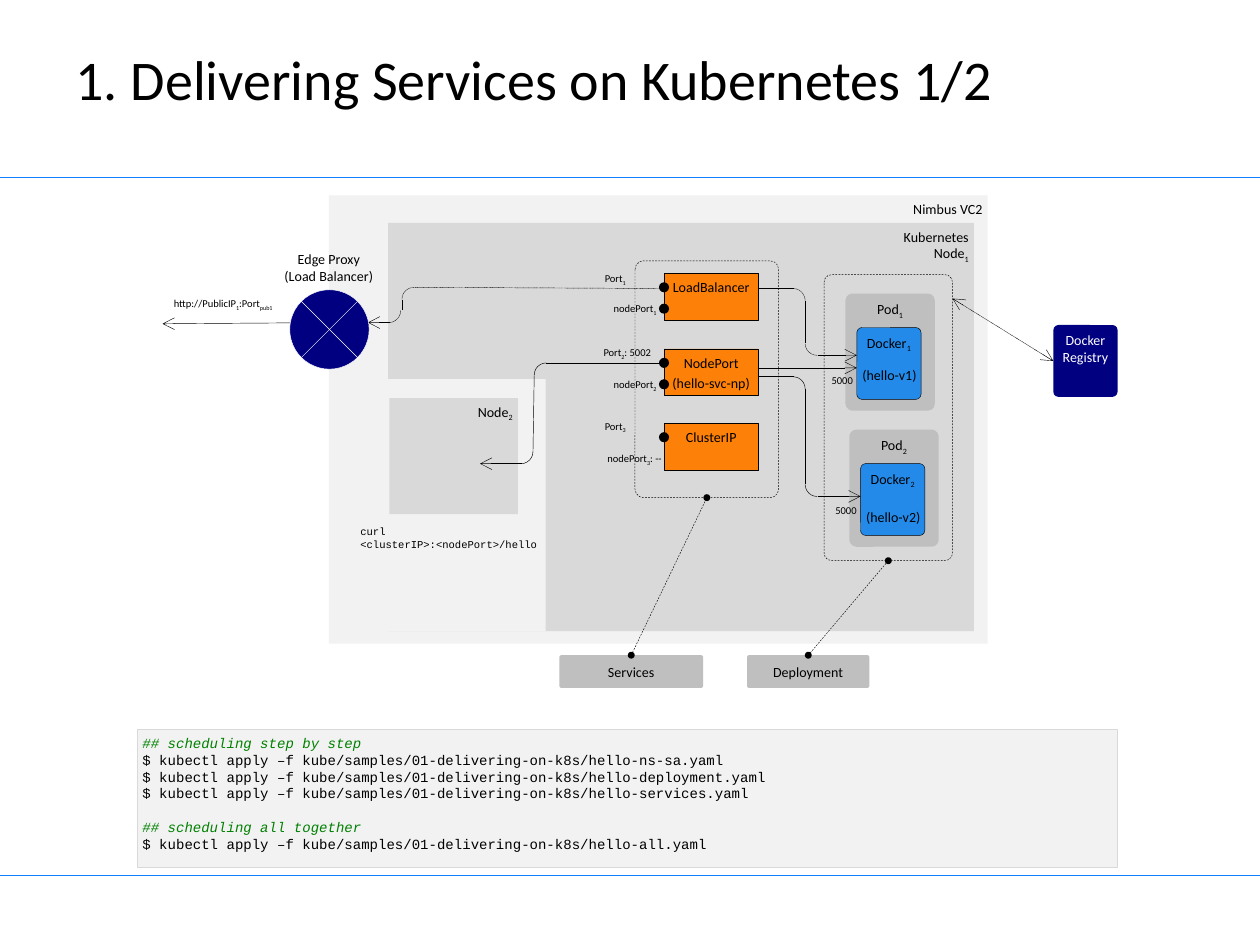
from lxml import etree
from pptx import Presentation
from pptx import util as u
from pptx.dml.color import RGBColor
from pptx.enum import dml, shapes, text
from pptx.oxml.ns import qn

COLORS = {
    "black": "000000", "white": "FFFFFF", "rule": "0F80FF", "pale": "F2F2F2",
    "light": "D9D9D9", "grey": "BFBFBF", "orange": "FD8008", "navy": "000080",
    "blue": "248AEA", "green": "008000",
}
SHAPE = shapes.MSO_SHAPE
ALIGN = text.PP_ALIGN
DOT = dml.MSO_LINE.ROUND_DOT
DASH = dml.MSO_LINE.DASH
TOP, LEFT, BOTTOM = 0, 1, 2


def rgb(name):
    return RGBColor.from_string(COLORS[name])


def put_text(frame, content, size=8, color="black", font="Calibri", align=ALIGN.CENTER,
             anchor=text.MSO_ANCHOR.TOP, margin=0.04, wrap=True):
    """Lines are split at newlines; parts between tildes are subscripts."""
    frame.word_wrap = wrap
    frame.vertical_anchor = anchor
    frame.margin_left = frame.margin_right = u.Inches(margin)
    frame.margin_top = frame.margin_bottom = u.Inches(margin)
    for number, line in enumerate(content.split("\n")):
        paragraph = frame.add_paragraph() if number else frame.paragraphs[0]
        paragraph.alignment = align
        for index, part in enumerate(line.split("~")):
            if not part:
                continue
            run = paragraph.add_run()
            run.text = part
            run.font.name = font
            run.font.size = u.Pt(size)
            run.font.color.rgb = rgb(color)
            if index % 2:
                run._r.get_or_add_rPr().set("baseline", "-25000")


class Diagram:
    def __init__(self, slide, line_width=0.25):
        self.slide = slide
        self.line_width = u.Pt(line_width)

    def stroke(self, line, color, dash=None):
        line.color.rgb = rgb(color)
        line.width = self.line_width
        if dash:
            line.dash_style = dash

    def title(self, content, x, y, w, h):
        heading = self.slide.shapes.title
        heading.left, heading.top, heading.width, heading.height = map(u.Inches, (x, y, w, h))
        put_text(heading.text_frame, content, size=32, align=ALIGN.LEFT, margin=0.1)
        heading.text_frame.margin_top = u.Inches(0.05)

    def box(self, x, y, w, h, fill=None, content="", kind=SHAPE.RECTANGLE, line=None,
            dash=None, radius=None, rotation=0, **style):
        shape = self.slide.shapes.add_shape(kind, *map(u.Inches, (x, y, w, h)))
        shape.shadow.inherit = False
        shape.rotation = rotation
        if radius:
            shape.adjustments[0] = radius
        if fill:
            shape.fill.solid()
            shape.fill.fore_color.rgb = rgb(fill)
        else:
            shape.fill.background()
        if line:
            self.stroke(shape.line, line, dash)
        else:
            shape.line.fill.background()
        if content:
            put_text(shape.text_frame, content, **style)
        return shape

    def rounded(self, x, y, w, h, fill, content="", radius=0.08, **style):
        return self.box(x, y, w, h, fill, content, SHAPE.ROUNDED_RECTANGLE,
                        radius=radius, **style)

    def bend(self, x, y, rotation=0, dash=None):
        self.box(x, y, 0.19, 0.19, kind=SHAPE.ARC, line="black", rotation=rotation, dash=dash)

    def port(self, y):
        self.box(5.23, y, 0.08, 0.08, "black", kind=SHAPE.OVAL)

    def label(self, x, y, w, h, content, size=6, align=ALIGN.LEFT, wrap=False, **style):
        area = self.slide.shapes.add_textbox(*map(u.Inches, (x, y, w, h)))
        put_text(area.text_frame, content, size=size, align=align, margin=0, wrap=wrap, **style)

    def line(self, x1, y1, x2, y2, dash=None, head=None, tail=None, color="black",
             start=None, end=None):
        link = self.slide.shapes.add_connector(
            shapes.MSO_CONNECTOR.STRAIGHT, *map(u.Inches, (x1, y1, x2, y2)))
        self.stroke(link.line, color, dash)
        outline = link.line._get_or_add_ln()
        for tag, style in (("a:headEnd", head), ("a:tailEnd", tail)):
            if style:
                size = "sm" if style == "oval" else "med"
                etree.SubElement(outline, qn(tag), type=style, w=size, len=size)
        etree.SubElement(link._element.spPr, qn("a:effectLst"))
        if start:
            link.begin_connect(*start)
        if end:
            link.end_connect(*end)

    def code(self, x, y, w, h, content):
        listing = self.box(x, y, w, h, "pale", content, line="light",
                           font="Courier New", align=ALIGN.LEFT)
        for number, paragraph in enumerate(listing.text_frame.paragraphs):
            if paragraph.text.startswith("##"):
                paragraph.runs[0].font.italic = True
                paragraph.runs[0].font.color.rgb = rgb("green")
                if number:
                    paragraph.space_before = u.Pt(9.5)


def main():
    deck = Presentation()
    deck.slide_width, deck.slide_height = u.Inches(10), u.Inches(7.5)
    d = Diagram(deck.slides.add_slide(deck.slide_layouts[5]))

    for y in (6.95, 1.41):
        d.line(0, y, 10, y, color="rule")
    d.title("1. Delivering Services on Kubernetes 1/2", 0.5, 0.3, 9, 0.76)

    d.box(2.61, 1.55, 5.23, 3.56, "pale", "Nimbus VC2", align=ALIGN.RIGHT)
    d.box(3.08, 1.77, 4.65, 3.24, "light", "Kubernetes\nNode~1~", align=ALIGN.RIGHT)
    deployment = d.rounded(6.54, 2.18, 1.02, 2.27, "light", radius=0.06, line="black", dash=DASH)
    services = d.rounded(5.04, 2.07, 1.14, 1.88, "light", radius=0.06, line="black", dash=DASH)

    for y, service in ((2.17, "LoadBalancer"), (2.77, "NodePort"), (3.36, "ClusterIP")):
        d.box(5.27, y, 0.75, 0.37, "orange", service, line="black")
    d.label(5.27, 2.97, 0.75, 0.13, "(hello-svc-np)", size=8, align=ALIGN.CENTER, wrap=True)

    d.line(3.28, 2.28, 5.26, 2.29, DOT)
    d.bend(3.19, 2.28, 270, DOT)
    d.line(3.19, 2.46, 3.19, 2.38, DOT)
    d.bend(2.99, 2.37, 90, DOT)
    d.line(2.92, 2.56, 3.09, 2.56, DOT, head="arrow")
    d.line(1.29, 2.57, 2.69, 2.56, head="arrow")
    d.label(1.38, 2.36, 0.84, 0.1, "http://PublicIP~1~:Port~pub1~")
    d.label(2.2, 1.99, 0.82, 0.3, "Edge Proxy\n(Load Balancer)", size=8,
            align=ALIGN.CENTER, wrap=True)
    d.box(2.3, 2.3, 0.63, 0.63, "navy", kind=SHAPE.FLOWCHART_SUMMING_JUNCTION, line="white")

    d.box(2.95, 3.01, 1.38, 2, "pale")
    d.box(3.09, 3.16, 1.02, 0.92, "light", "Node~2~", align=ALIGN.RIGHT)
    d.line(4.33, 2.88, 5.27, 2.88)
    d.bend(4.24, 2.88, 270)
    d.line(4.23, 3.59, 4.24, 2.98)
    d.bend(4.04, 3.49, 90)
    d.line(3.81, 3.68, 4.14, 3.68, head="arrow")
    d.label(2.86, 4.17, 1.42, 0.2, "curl <clusterIP>:<nodePort>/hello",
            font="Courier New", wrap=True)

    for y in (2.24, 2.41, 2.84, 3.01, 3.43):
        d.port(y)
    for x, y, w, name in (
        (4.8, 2.16, 0.17, "Port~1~"), (4.87, 2.4, 0.35, "nodePort~1~"),
        (4.79, 2.75, 0.4, "Port~2~: 5002"), (4.87, 3, 0.35, "nodePort~2~"),
        (4.8, 3.33, 0.17, "Port~3~"), (4.82, 3.59, 0.44, "nodePort~3~: --"),
    ):
        d.label(x, y, w, 0.1, name)

    for number, x, y, version_y in ((1, 6.71, 2.33, 2.91), (2, 6.74, 3.41, 4.04)):
        d.rounded(x, y, 0.71, 0.93, "grey", f"Pod~{number}~")
        d.rounded(x + 0.09, y + 0.27, 0.51, 0.57, "blue", f"Docker~{number}~", line="black")
        d.label(x + 0.05, version_y, 0.6, 0.13, f"(hello-v{number})", size=8,
                align=ALIGN.CENTER, wrap=True)
    for x, y in ((6.6, 2.97), (6.63, 4)):
        d.label(x, y, 0.17, 0.1, "5000")

    for y, drop_end, dash in ((2.29, 2.82, DOT), (2.99, 3.94, None)):
        d.line(6.02, y, 6.3, y, dash)
        d.bend(6.2, y, 0, dash)
        d.line(6.39, y + 0.1, 6.39, drop_end - 0.1, dash)
        d.bend(6.39, drop_end - 0.19, 180, dash)
        d.line(6.49, drop_end, 6.8 if dash else 6.83, drop_end, dash, tail="arrow")
    d.line(6.02, 2.92, 6.8, 2.92, tail="arrow")

    registry = d.rounded(8.36, 2.58, 0.51, 0.57, "navy", "Docker Registry", color="white")
    d.line(7.56, 2.37, 8.36, 2.86, DOT, "arrow", "arrow", end=(registry, LEFT))

    for name, x, w, group in (("Services", 4.44, 1.14, services),
                              ("Deployment", 5.93, 0.97, deployment)):
        caption = d.rounded(x, 5.2, w, 0.26, "grey", name, radius=0.06,
                            anchor=text.MSO_ANCHOR.MIDDLE)
        d.line(x, 5.2, x + w, 4.45, DASH, "oval", "oval",
               start=(caption, TOP), end=(group, BOTTOM))

    folder = "$ kubectl apply –f kube/samples/01-delivering-on-k8s/"
    steps = [f"{folder}hello-{name}.yaml" for name in ("ns-sa", "deployment", "services", "all")]
    d.code(1.09, 5.79, 7.78, 1.09, "\n".join(
        ["## scheduling step by step", *steps[:3], "## scheduling all together", steps[3]]))

    deck.save("out.pptx")


if __name__ == "__main__":
    main()
